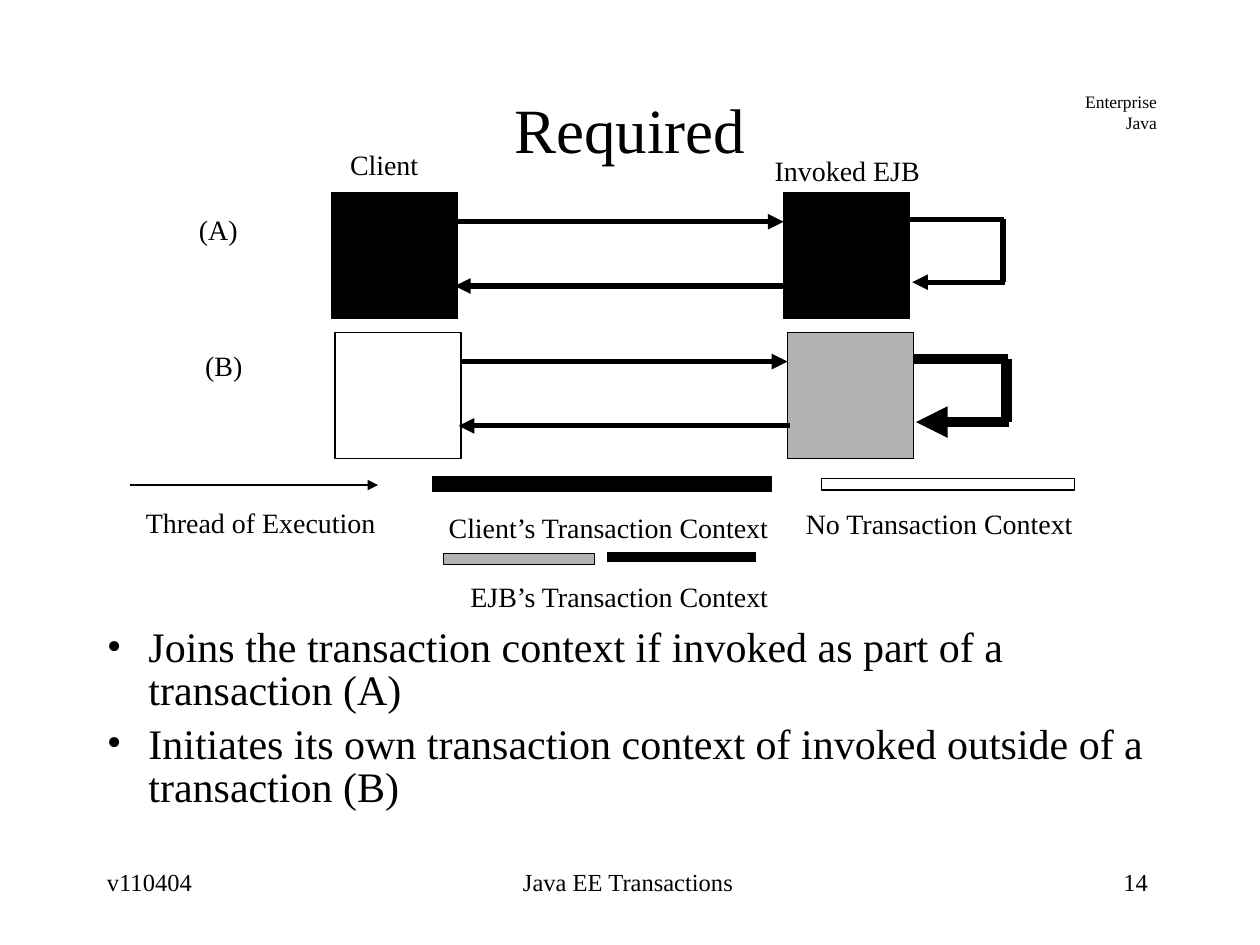
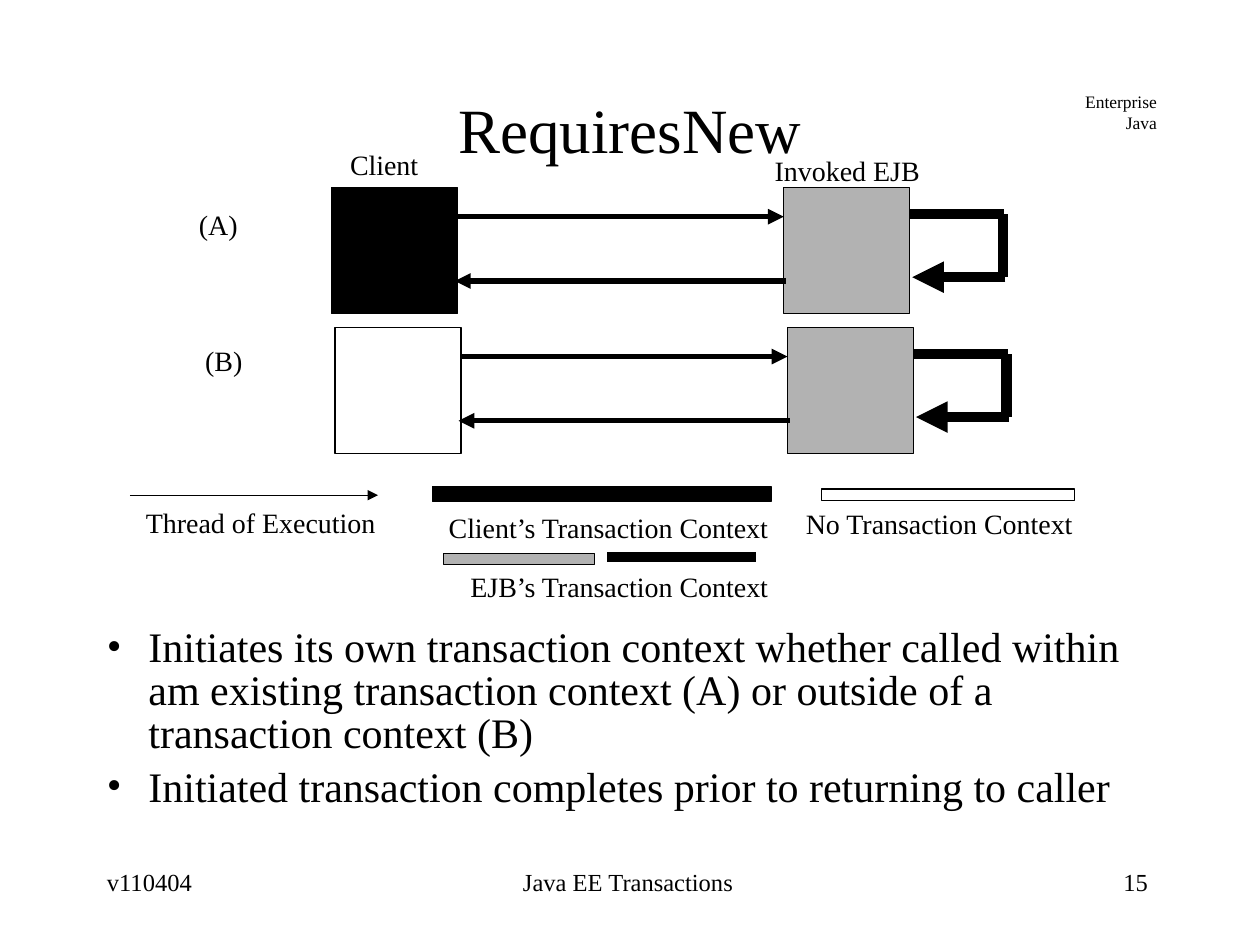
from dataclasses import dataclass

from lxml import etree
from pptx import Presentation
from pptx.dml.color import RGBColor
from pptx.enum.shapes import MSO_CONNECTOR, MSO_SHAPE
from pptx.enum.text import MSO_ANCHOR, MSO_AUTO_SIZE, PP_ALIGN
from pptx.oxml.ns import qn
from pptx.util import Inches, Pt

LEFT, CENTER, RIGHT = PP_ALIGN.LEFT, PP_ALIGN.CENTER, PP_ALIGN.RIGHT
TOP, MIDDLE = MSO_ANCHOR.TOP, MSO_ANCHOR.MIDDLE
FIT, FIXED = MSO_AUTO_SIZE.SHAPE_TO_FIT_TEXT, MSO_AUTO_SIZE.NONE
RECTANGLE, STRAIGHT = MSO_SHAPE.RECTANGLE, MSO_CONNECTOR.STRAIGHT


@dataclass(frozen=True)
class Theme:
    font: str = "Times New Roman"
    ink: str = "000000"
    ejb: str = "B2B2B2"
    title: int = 36
    body: int = 24
    label: int = 16
    footer: int = 14
    corner: int = 10
    thin: float = 0.75
    thread: float = 3
    own_thread: float = 6
    tight: float = 0.29
    body_spacing: float = 0.85


THEME = Theme()
COLUMNS, ROWS = 10, 7.5
CELL = Inches(1)

CLIENT_CONTEXT = (THEME.ink, THEME.thread)
EJB_CONTEXT = (THEME.ejb, THEME.own_thread)

SLIDES = [
    {
        "title": "Required",
        "number": "14",
        "first_row": 1.53,
        "ejb_contexts": [CLIENT_CONTEXT, EJB_CONTEXT],
        "legend": 3.85,
        "ejb_legend": 4.71,
        "bullets": [
            "Joins the transaction context if invoked as part of a transaction (A)",
            "Initiates its own transaction context of invoked outside of a transaction (B)",
        ],
    },
    {
        "title": "RequiresNew",
        "number": "15",
        "first_row": 1.49,
        "ejb_contexts": [EJB_CONTEXT, EJB_CONTEXT],
        "legend": 3.93,
        "ejb_legend": 4.63,
        "bullets": [
            "Initiates its own transaction context whether called within am existing "
            "transaction context (A) or outside of a transaction context (B)",
            "Initiated transaction completes prior to returning to caller",
        ],
    },
]

FOOTERS = [(0.75, 2.04, LEFT, "v110404"), (3.42, 3.13, CENTER, "Java EE Transactions")]
PAGE_NUMBER = (7.17, 2.04, RIGHT)
LABELS = [
    (6.05, 1.33, 1.35, LEFT, "Invoked EJB"),
    (2.68, 1.28, 0.74, LEFT, "Client"),
    (1.06, 4.12, 2.02, LEFT, "Thread of Execution"),
    (3.45, 4.16, 2.76, CENTER, "Client’s Transaction Context"),
    (6.29, 4.13, 2.33, CENTER, "No Transaction Context"),
]
CALLS = [(1.48, "(A)", THEME.ink), (1.53, "(B)", None)]
CALL_LABEL_WIDTH = 0.52
CLIENT_LEFT, EJB_LEFT = 2.63, 6.22
ROW_STEP, ROW_SHIFT = 1.11, 0.03


def add_text(slide, box, lines, size, align=LEFT, anchor=TOP, spacing=None, fit=False):
    shape = slide.shapes.add_textbox(*(round(value * CELL) for value in box))
    frame = shape.text_frame
    frame.word_wrap = not fit
    frame.auto_size = FIT if fit else FIXED
    frame.vertical_anchor = anchor
    for index, line in enumerate(lines):
        paragraph = frame.add_paragraph() if index else frame.paragraphs[0]
        paragraph.alignment = align
        if spacing:
            paragraph.line_spacing = spacing
        run = paragraph.add_run()
        run.text = line
        run.font.name = THEME.font
        run.font.size = Pt(size)
        run.font.color.rgb = RGBColor.from_string(THEME.ink)
    return frame


def add_label(slide, left, top, width, align, text):
    add_text(slide, (left, top, width, 0.18), [text], THEME.label, align,
             spacing=THEME.tight, fit=True)


def add_bullets(slide, lines):
    frame = add_text(slide, (0.75, 4.94, 8.5, 1.79), lines, THEME.body,
                     spacing=THEME.body_spacing)
    for paragraph in frame.paragraphs:
        paragraph.space_before = Pt(6)
        properties = paragraph._p.get_or_add_pPr()
        properties.set("marL", str(Inches(0.33)))
        properties.set("indent", str(-Inches(0.33)))
        color = etree.SubElement(properties, qn("a:buClr"))
        etree.SubElement(color, qn("a:srgbClr"), val=THEME.ink)
        etree.SubElement(properties, qn("a:buFont"), typeface=THEME.font)
        etree.SubElement(properties, qn("a:buChar"), char="•")


def add_box(slide, left, top, width, height, fill):
    shape = slide.shapes.add_shape(
        RECTANGLE, *(round(value * CELL) for value in (left, top, width, height)))
    shape.shadow.inherit = False
    if fill:
        shape.fill.solid()
        shape.fill.fore_color.rgb = RGBColor.from_string(fill)
    else:
        shape.fill.background()
    shape.line.color.rgb = RGBColor.from_string(THEME.ink)
    shape.line.width = Pt(THEME.thin)


def add_line(slide, start, end, weight, arrow=False):
    connector = slide.shapes.add_connector(
        STRAIGHT, *(round(value * CELL) for value in (*start, *end)))
    connector.line.color.rgb = RGBColor.from_string(THEME.ink)
    connector.line.width = Pt(weight)
    properties = connector.element.spPr
    if arrow:
        etree.SubElement(properties.find(qn("a:ln")), qn("a:tailEnd"), type="triangle")
    etree.SubElement(properties, qn("a:effectLst"))


def add_call(slide, top, shift, client_fill, ejb_context):
    ejb_fill, loop_weight = ejb_context
    client, ejb = CLIENT_LEFT + shift, EJB_LEFT + shift
    add_box(slide, client, top, 1, 1, client_fill)
    add_box(slide, ejb, top, 1, 1, ejb_fill)
    call, reply = top + 0.23, top + 0.74
    add_line(slide, (client + 1, call), (ejb, call), THEME.thread, arrow=True)
    add_line(slide, (ejb + 0.02, reply), (client + 0.98, reply), THEME.thread, arrow=True)
    loop_top, loop_bottom, loop_right = top + 0.21, top + 0.71, ejb + 1.74
    add_line(slide, (ejb + 1, loop_top), (loop_right + 0.01, loop_top), loop_weight)
    add_line(slide, (loop_right, loop_top), (loop_right, loop_bottom), loop_weight)
    add_line(slide, (loop_right + 0.02, loop_bottom), (ejb + 1.02, loop_bottom),
             loop_weight, arrow=True)


def add_legend(slide, middle, ejb_label_top):
    add_line(slide, (1.03, middle), (3, middle), THEME.thin, arrow=True)
    add_box(slide, 3.43, middle - 0.07, 2.69, 0.12, THEME.ink)
    add_box(slide, 6.52, middle - 0.05, 2.01, 0.09, None)
    add_box(slide, 3.52, 4.39, 1.2, 0.09, THEME.ejb)
    add_line(slide, (4.82, 4.42), (6, 4.42), THEME.own_thread)
    add_label(slide, 3.62, ejb_label_top, 2.59, CENTER, "EJB’s Transaction Context")


def add_frame(slide, title, number):
    add_text(slide, (8.51, 0.67, 0.77, 0.44), ["Enterprise", "Java"], THEME.corner,
             RIGHT, fit=True)
    for left, width, align, text in [*FOOTERS, (*PAGE_NUMBER, number)]:
        add_text(slide, (left, 6.83, width, 0.46), [text], THEME.footer, align)
    add_text(slide, (0.75, 0.67, 8.5, 1), [title], THEME.title, CENTER, MIDDLE, THEME.tight)


def build_slide(presentation, content):
    slide = presentation.slides.add_slide(presentation.slide_layouts[6])
    add_frame(slide, content["title"], content["number"])
    for label in LABELS:
        add_label(slide, *label)
    for row, (call, context) in enumerate(zip(CALLS, content["ejb_contexts"])):
        left, name, client_fill = call
        top = content["first_row"] + row * ROW_STEP
        add_label(slide, left, top + 0.27 - row * 0.03, CALL_LABEL_WIDTH, LEFT, name)
        add_call(slide, top, row * ROW_SHIFT, client_fill, context)
    add_legend(slide, content["legend"], content["ejb_legend"])
    add_bullets(slide, content["bullets"])


def main():
    """Build the slides on transaction attributes and save them."""
    presentation = Presentation()
    presentation.slide_width = COLUMNS * CELL
    presentation.slide_height = round(ROWS * CELL)
    for content in SLIDES:
        build_slide(presentation, content)
    presentation.save("out.pptx")


if __name__ == "__main__":
    main()
